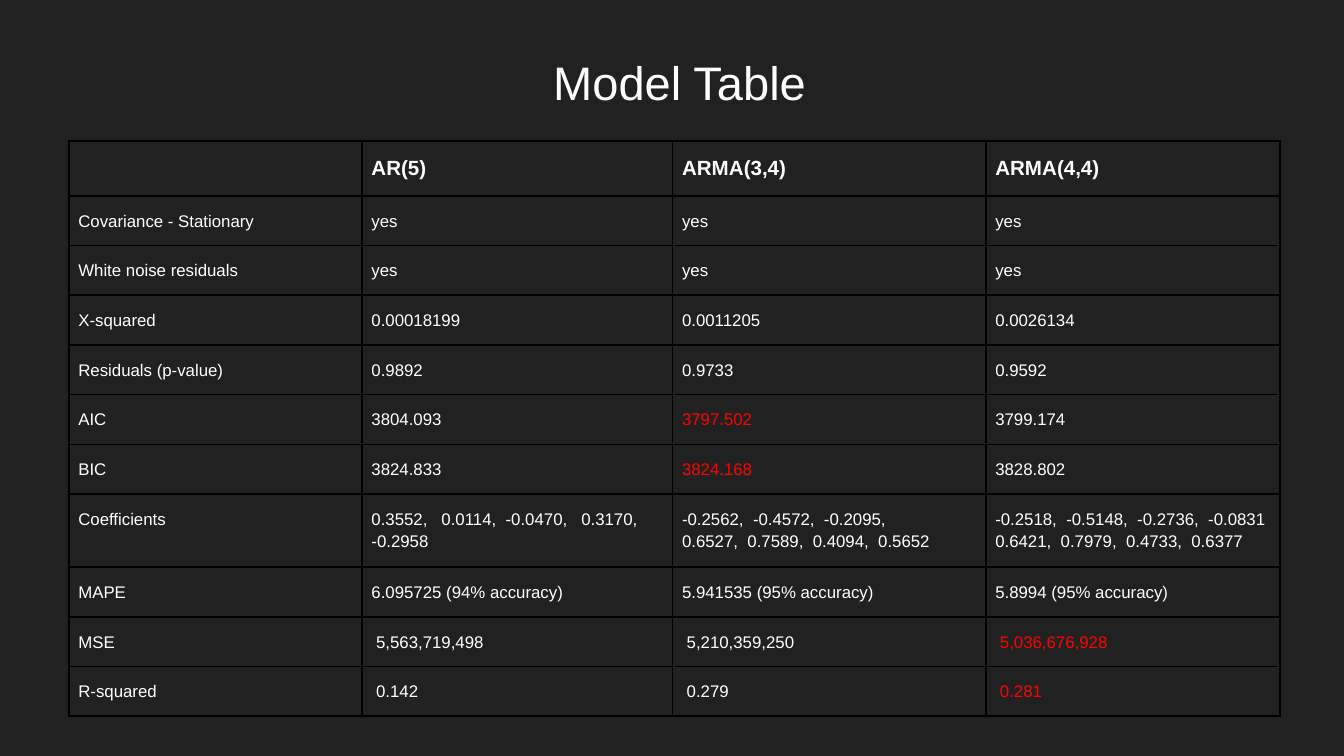
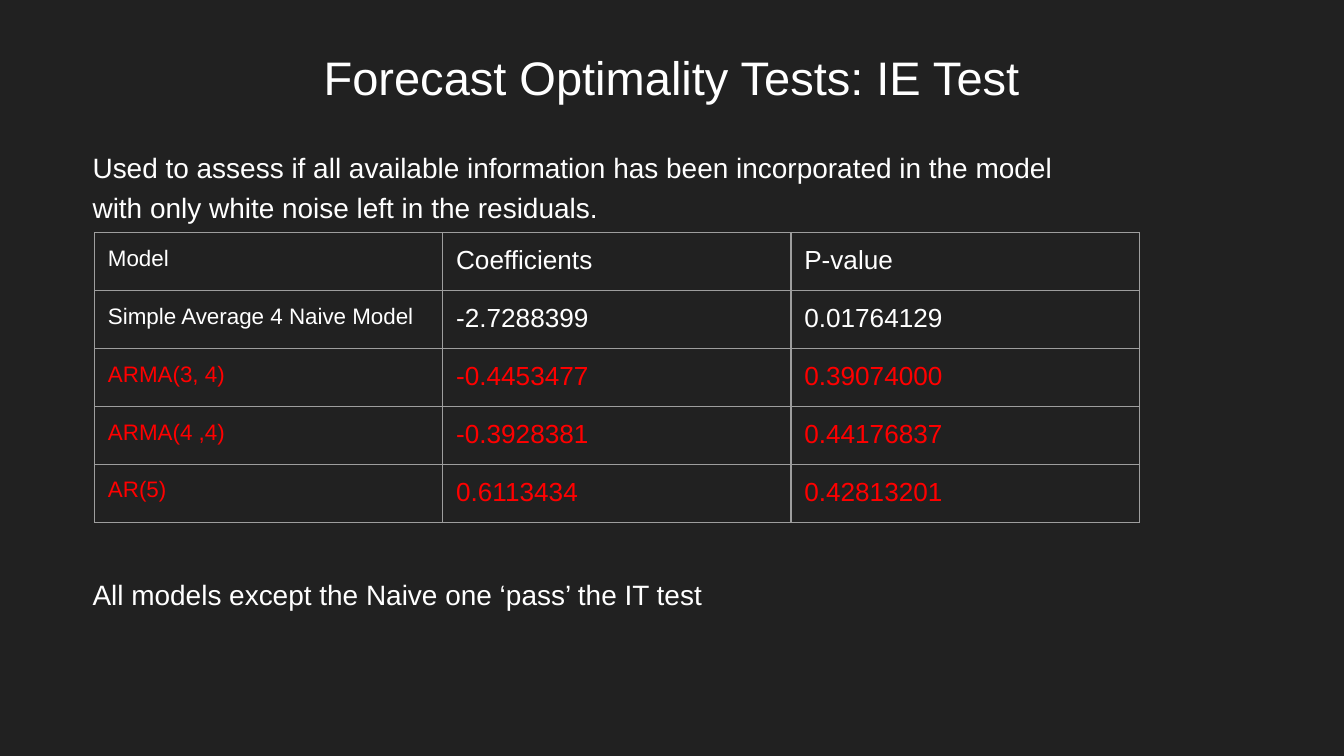
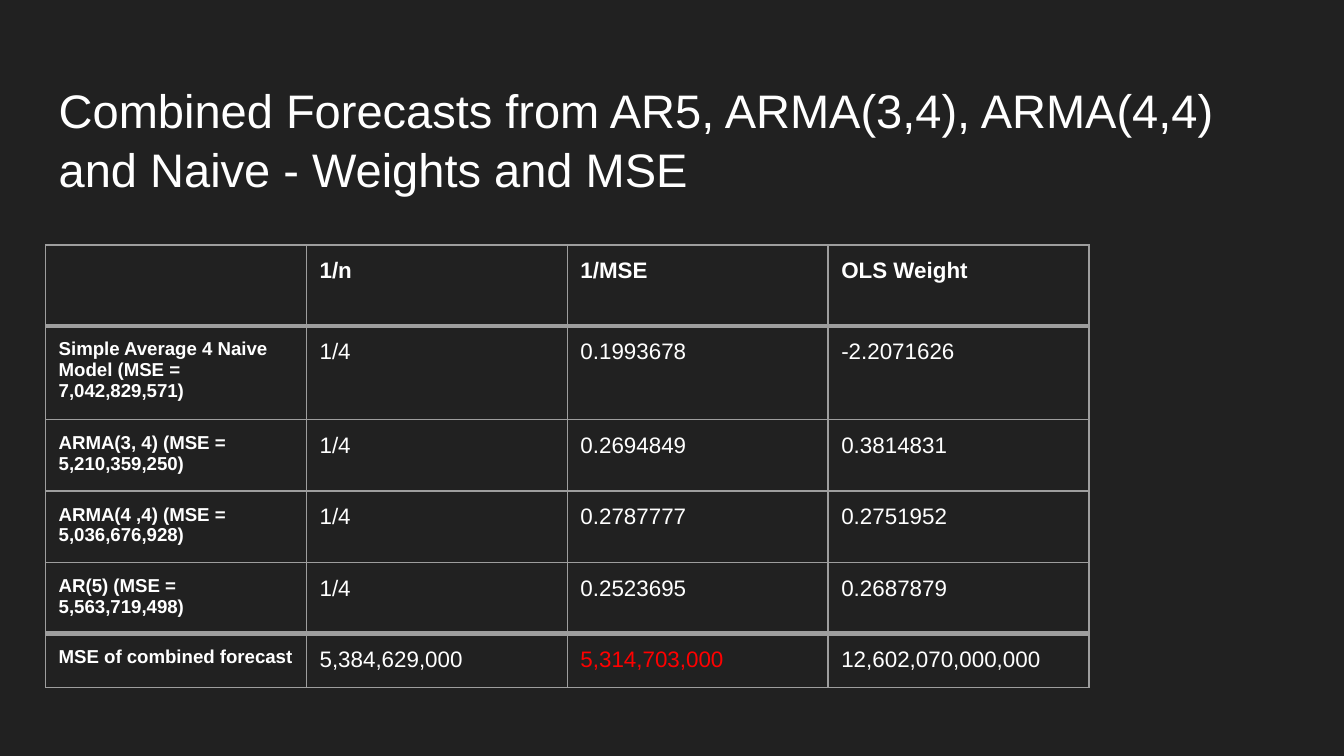
from dataclasses import dataclass, field

from lxml.etree import SubElement
from pptx import Presentation
from pptx.dml.color import RGBColor as RGB
from pptx.enum.text import MSO_ANCHOR as Anchor, PP_ALIGN as Align
from pptx.oxml.ns import qn
from pptx.util import Cm, Pt


@dataclass(frozen=True)
class Theme:
    font: str = "Arial"
    background: str = "212121"
    text: str = "FFFFFF"
    highlight: str = "FF0000"
    black: str = "000000"
    grey: str = "9E9E9E"
    title_size: float = 25.2
    body_size: float = 15
    inset: float = 0.25


THEME = Theme()


@dataclass(frozen=True)
class Box:
    left: float
    top: float
    width: float
    height: float


@dataclass(frozen=True)
class CellStyle:
    size: float
    bold: bool = False


@dataclass(frozen=True)
class Grid:
    left: float
    top: float
    widths: list[float]
    heights: list[float]
    rows: list[list[str]]
    head: CellStyle
    label: CellStyle
    value: CellStyle
    red: set[tuple[int, int]]
    line: str = THEME.grey
    line_width: float = 0.75
    heavy_lines: dict[int, float] = field(default_factory=dict)  # rule above row -> points
    side_inset: float = THEME.inset
    spacing: float = 1.0


# Shared drawing functions
def write(p, text: str, *, size: float, bold: bool = False, color: str = THEME.text,
          align=Align.LEFT, spacing: float = 1.0, before: float = 0) -> None:
    p.alignment = align
    p.line_spacing = spacing
    p.space_before = Pt(before)
    if not text:
        SubElement(p._p, qn("a:endParaRPr"), sz=str(int(size * 100)))
        return
    r = p.add_run()
    r.text = text
    r.font.name = THEME.font
    r.font.size = Pt(size)
    r.font.bold = bold
    r.font.color.rgb = RGB.from_string(color)


def set_insets(target, side: float = THEME.inset) -> None:
    target.margin_left = target.margin_right = Cm(side)
    target.margin_top = target.margin_bottom = Cm(THEME.inset)


def add_text_frame(s, box: Box):
    tf = s.shapes.add_textbox(Cm(box.left), Cm(box.top), Cm(box.width), Cm(box.height)).text_frame
    tf.word_wrap = True
    tf.vertical_anchor = Anchor.TOP
    set_insets(tf)
    return tf


def add_slide(prs, title: str, box: Box, align=Align.CENTER):
    s = prs.slides.add_slide(prs.slide_layouts[6])
    s.background.fill.solid()
    s.background.fill.fore_color.rgb = RGB.from_string(THEME.background)
    tf = add_text_frame(s, box)
    write(tf.paragraphs[0], title, size=THEME.title_size, align=align, spacing=1.05)
    return s


def set_borders(cell, color: str, **widths: float) -> None:
    tc_pr = cell._tc.get_or_add_tcPr()
    for index, side in enumerate(("L", "R", "T", "B")):
        ln = tc_pr.makeelement(qn(f"a:ln{side}"), {"w": str(Pt(widths[side]))})
        SubElement(SubElement(ln, qn("a:solidFill")), qn("a:srgbClr"), val=color)
        tc_pr.insert(index, ln)


def add_grid(s, g: Grid) -> None:
    table = s.shapes.add_table(len(g.rows), len(g.widths), Cm(g.left), Cm(g.top),
                               Cm(sum(g.widths)), Cm(sum(g.heights))).table
    table.first_row = table.horz_banding = False
    for column, width in zip(table.columns, g.widths):
        column.width = Cm(width)
    for i, (row, height) in enumerate(zip(g.rows, g.heights)):
        table.rows[i].height = Cm(height)
        for j, text in enumerate(row):
            cell = table.cell(i, j)
            set_insets(cell, g.side_inset)
            cell.fill.background()
            set_borders(cell, g.line, L=g.line_width, R=g.line_width,
                        T=g.heavy_lines.get(i, g.line_width),
                        B=g.heavy_lines.get(i + 1, g.line_width))
            style = g.label if j == 0 else g.head if i == 0 else g.value
            color = THEME.highlight if (i, j) in g.red else THEME.text
            tf = cell.text_frame
            for k, line in enumerate(text.split("\n")):
                p = tf.add_paragraph() if k else tf.paragraphs[0]
                write(p, line, size=style.size, bold=style.bold, color=color, spacing=g.spacing)


# Slides
def model_table(prs) -> None:
    s = add_slide(prs, "Model Table", Box(1.3, 0.71, 23.09, 1.24))
    add_grid(s, Grid(
        left=1.3, top=2.66,
        widths=[5.54, 5.87, 5.92, 5.56],
        heights=[1.04] + [0.92] * 6 + [1.32] + [0.92] * 3,
        rows=[
            ["", "AR(5)", "ARMA(3,4)", "ARMA(4,4)"],
            ["Covariance - Stationary", "yes", "yes", "yes"],
            ["White noise residuals", "yes", "yes", "yes"],
            ["X-squared", "0.00018199", "0.0011205", "0.0026134"],
            ["Residuals (p-value)", "0.9892", "0.9733", "0.9592"],
            ["AIC", "3804.093", "3797.502", "3799.174"],
            ["BIC", "3824.833", "3824.168", "3828.802"],
            ["Coefficients",
             "0.3552,   0.0114,  -0.0470,   0.3170,  -0.2958",
             "-0.2562,  -0.4572,  -0.2095,\n0.6527,  0.7589,  0.4094,  0.5652",
             "-0.2518,  -0.5148,  -0.2736,  -0.0831  0.6421,  0.7979,  0.4733,  0.6377"],
            ["MAPE", "6.095725 (94% accuracy)", "5.941535 (95% accuracy)",
             "5.8994 (95% accuracy)"],
            ["MSE", " 5,563,719,498", " 5,210,359,250", " 5,036,676,928"],
            ["R-squared", " 0.142", " 0.279", " 0.281"],
        ],
        head=CellStyle(11, bold=True), label=CellStyle(9), value=CellStyle(9),
        red={(5, 2), (6, 2), (9, 3), (10, 3)},
        line=THEME.black, line_width=1, side_inset=0.18, spacing=1.15,
    ))


def optimality_tests(prs) -> None:
    s = add_slide(prs, "Forecast Optimality Tests: IE Test", Box(0.86, 0.61, 23.67, 1.6))
    # Introduction above the table, conclusion below it
    tf = add_text_frame(s, Box(1.5, 2.46, 23.03, 10.24))
    lines = [
        ("Used to assess if all available information has been incorporated in the model", 0),
        ("with only white noise left in the residuals.", 0),
        ("All models except the Naive one ‘pass’ the IT test", 186),
    ]
    for k, (text, before) in enumerate(lines):
        p = tf.add_paragraph() if k else tf.paragraphs[0]
        write(p, text, size=THEME.body_size, spacing=1.2, before=before)
    add_grid(s, Grid(
        left=1.79, top=4.4, widths=[6.58] * 3, heights=[1.06] * 5,
        rows=[
            ["Model", "Coefficients", "P-value"],
            ["Simple Average 4 Naive Model", "-2.7288399", "0.01764129"],
            ["ARMA(3, 4)", "-0.4453477", "0.39074000"],
            ["ARMA(4 ,4)", "-0.3928381", "0.44176837"],
            ["AR(5)", "0.6113434", "0.42813201"],
        ],
        head=CellStyle(14), label=CellStyle(12), value=CellStyle(14),
        red={(i, j) for i in range(2, 5) for j in range(3)},
    ))


def combined_forecasts(prs) -> None:
    s = add_slide(prs, "Combined Forecasts from AR5, ARMA(3,4), ARMA(4,4) and Naive - Weights and MSE",
                  Box(0.86, 1.24, 23.67, 1.6), align=Align.LEFT)
    add_grid(s, Grid(
        left=0.86, top=4.63, widths=[4.93] * 4,
        heights=[1.53, 1.69, 1.3, 1.3, 1.3, 0.98],
        rows=[
            ["", "1/n", "1/MSE", "OLS Weight"],
            ["Simple Average 4 Naive Model (MSE = 7,042,829,571)", "1/4", "0.1993678", "-2.2071626"],
            ["ARMA(3, 4) (MSE = 5,210,359,250)", "1/4", "0.2694849", "0.3814831"],
            ["ARMA(4 ,4) (MSE = 5,036,676,928)", "1/4", "0.2787777", "0.2751952"],
            ["AR(5) (MSE = 5,563,719,498)", "1/4", "0.2523695", "0.2687879"],
            ["MSE of combined forecast", "5,384,629,000", "5,314,703,000", "12,602,070,000,000"],
        ],
        head=CellStyle(12, bold=True), label=CellStyle(10, bold=True), value=CellStyle(12),
        red={(5, 2)}, heavy_lines={1: 2.25, 5: 3},
    ))


def main() -> None:
    prs = Presentation()
    prs.slide_width, prs.slide_height = Cm(25.4), Cm(14.29)
    for build in (model_table, optimality_tests, combined_forecasts):
        build(prs)
    prs.save("out.pptx")


if __name__ == "__main__":
    main()
